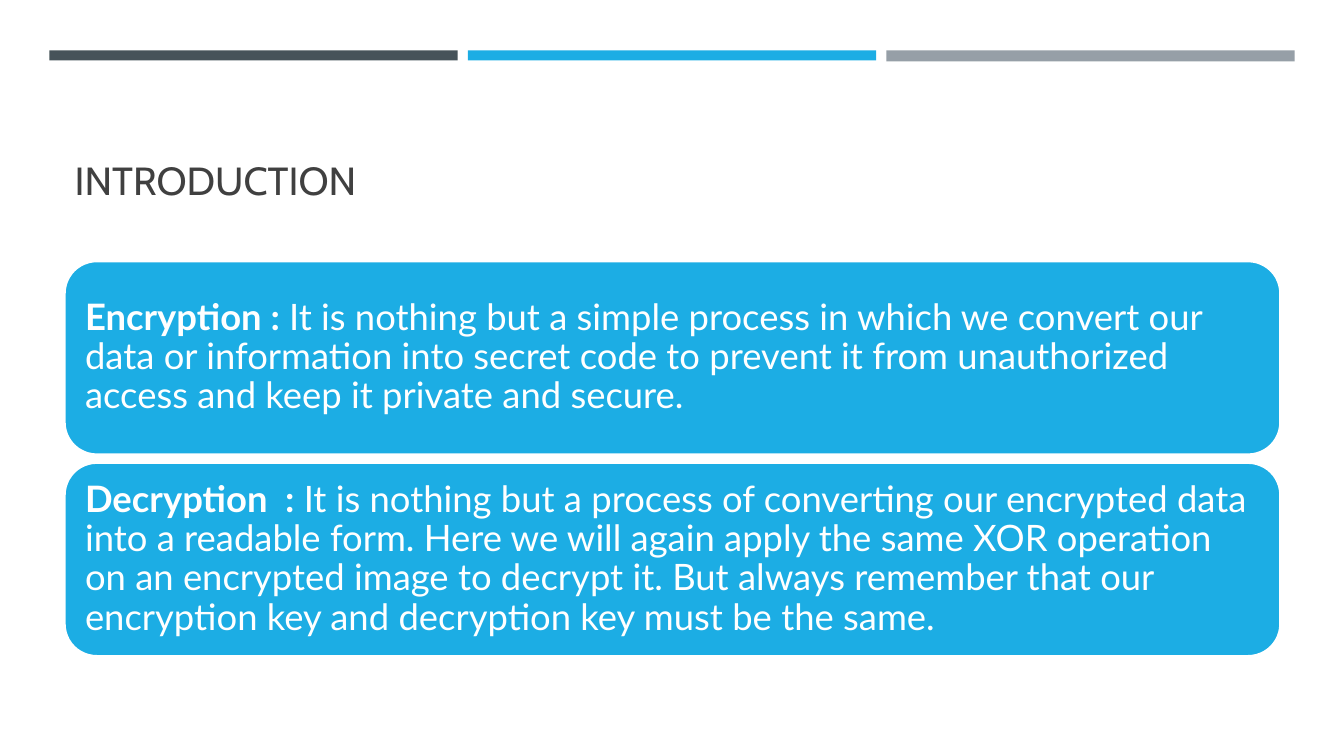
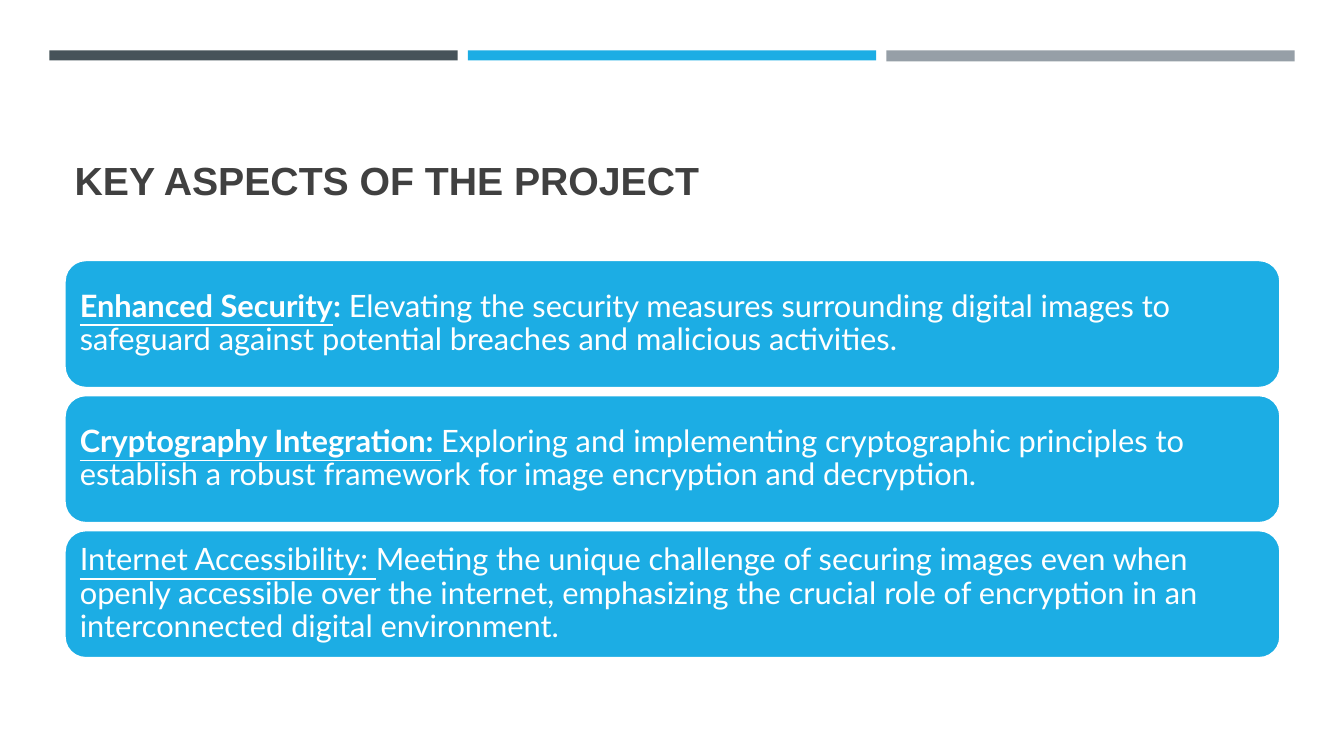
from dataclasses import dataclass

from pptx import Presentation
from pptx.dml.color import RGBColor
from pptx.enum import shapes, text
from pptx.util import Emu, Pt

PX = 9144
COLORS = {
    "slate": "465359",
    "blue": "1CADE4",
    "gray": "969FA7",
    "ink": "404040",
    "white": "FFFFFF",
}
BODY_FONT = "Lato"
CONTENT_LEFT, CONTENT_WIDTH = 64, 1206
TITLE_TOP, TITLE_HEIGHT = 77, 130
STACK_CENTER = 455
BAND_LEFT, BAND_TOP, BAND_WIDTH, BAND_PITCH = 49, 50, 405, 415
BAND_ID = 20


@dataclass
class Band:
    color: str
    height: int


@dataclass
class Span:
    text: str
    bold: bool = False
    underline: bool = False


@dataclass
class Page:
    title: Span
    title_font: str
    cards: list[list[Span]]
    card_height: int
    gap: int
    inset: int
    size: int


BANDS = [Band("slate", 10), Band("blue", 10), Band("gray", 11)]

PAGES = [
    Page(
        Span("INTRODUCTION"),
        "Cabin",
        [
            [
                Span("Encryption : ", bold=True),
                Span(
                    "It is nothing but a simple process in which we convert our data or "
                    "information into secret code to prevent it from unauthorized access "
                    "and keep it private and secure."
                ),
            ],
            [
                Span("Decryption  : ", bold=True),
                Span(
                    "It is nothing but a process of converting our encrypted data into a "
                    "readable form. Here we will again apply the same XOR operation on an "
                    "encrypted image to decrypt it. But always remember that our "
                    "encryption key and decryption key must be the same."
                ),
            ],
        ],
        card_height=192,
        gap=8,
        inset=11,
        size=26,
    ),
    Page(
        Span("KEY ASPECTS OF THE PROJECT", bold=True),
        "Arial",
        [
            [
                Span("Enhanced Security", bold=True, underline=True),
                Span(":", bold=True),
                Span(
                    " Elevating the security measures surrounding digital images to "
                    "safeguard against potential breaches and malicious activities."
                ),
            ],
            [
                Span("Cryptography Integration: ", bold=True, underline=True),
                Span(
                    "Exploring and implementing cryptographic principles to establish a "
                    "robust framework for image encryption and decryption."
                ),
            ],
            [
                Span("Internet Accessibility: ", underline=True),
                Span(
                    "Meeting the unique challenge of securing images even when openly "
                    "accessible over the internet, emphasizing the crucial role of "
                    "encryption in an interconnected digital environment."
                ),
            ],
        ],
        card_height=127,
        gap=7,
        inset=9,
        size=22,
    ),
]


def px(n: int) -> Emu:
    return Emu(n * PX)


def rgb(name: str) -> RGBColor:
    return RGBColor.from_string(COLORS[name])


def place(sp, left: int, top: int, width: int, height: int) -> None:
    sp.left, sp.top, sp.width, sp.height = map(px, (left, top, width, height))


def add_run(p, content: str, *, size: int, font: str, color: str,
            bold: bool = False, underline: bool = False) -> None:
    r = p.add_run()
    r.text = content
    r.font.size = Pt(size)
    r.font.name = font
    r.font.color.rgb = rgb(color)
    r.font.bold = bold
    r.font.underline = underline


def add_box(slide, kind, left: int, top: int, width: int, height: int, color: str):
    sp = slide.shapes.add_shape(kind, *map(px, (left, top, width, height)))
    sp.shadow.inherit = False
    sp.fill.solid()
    sp.fill.fore_color.rgb = rgb(color)
    sp.line.fill.background()
    return sp


def add_layout_bands(slide) -> None:
    tree = slide.slide_layout.shapes.element
    for i, band in enumerate(BANDS):
        sp = add_box(slide, shapes.MSO_SHAPE.RECTANGLE, BAND_LEFT + i * BAND_PITCH,
                     BAND_TOP, BAND_WIDTH, band.height, band.color)
        sp.element.nvSpPr.cNvPr.set("id", str(BAND_ID + i))
        tree.append(sp.element)


def add_title(slide, page: Page) -> None:
    sp = slide.shapes.title
    place(sp, CONTENT_LEFT, TITLE_TOP, CONTENT_WIDTH, TITLE_HEIGHT)
    tf = sp.text_frame
    tf.vertical_anchor = text.MSO_ANCHOR.BOTTOM
    p = tf.paragraphs[0]
    p.alignment = text.PP_ALIGN.LEFT
    add_run(p, page.title.text, size=28, font=page.title_font, color="ink",
            bold=page.title.bold)


def add_card(slide, page: Page, top: int, spans: list[Span]) -> None:
    sp = add_box(slide, shapes.MSO_SHAPE.ROUNDED_RECTANGLE, CONTENT_LEFT, top,
                 CONTENT_WIDTH, page.card_height, "blue")
    sp.line.color.rgb = rgb("white")
    sp.line.width = Pt(1.75)
    tf = sp.text_frame
    tf.word_wrap = True
    tf.vertical_anchor = text.MSO_ANCHOR.MIDDLE
    tf.margin_left = tf.margin_right = tf.margin_top = tf.margin_bottom = px(page.inset)
    p = tf.paragraphs[0]
    p.alignment = text.PP_ALIGN.LEFT
    p.line_spacing = 0.9
    for span in spans:
        add_run(p, span.text, size=page.size, font=BODY_FONT, color="white",
                bold=span.bold, underline=span.underline)


def add_page(prs, page: Page):
    slide = prs.slides.add_slide(prs.slide_layouts[5])
    add_title(slide, page)
    pitch = page.card_height + page.gap
    top = STACK_CENTER - (len(page.cards) * pitch - page.gap) // 2
    for i, spans in enumerate(page.cards):
        add_card(slide, page, top + i * pitch, spans)
    return slide


def main() -> None:
    prs = Presentation()
    prs.slide_width, prs.slide_height = px(1333), px(750)
    slides = [add_page(prs, page) for page in PAGES]
    add_layout_bands(slides[0])
    prs.save("out.pptx")


if __name__ == "__main__":
    main()
